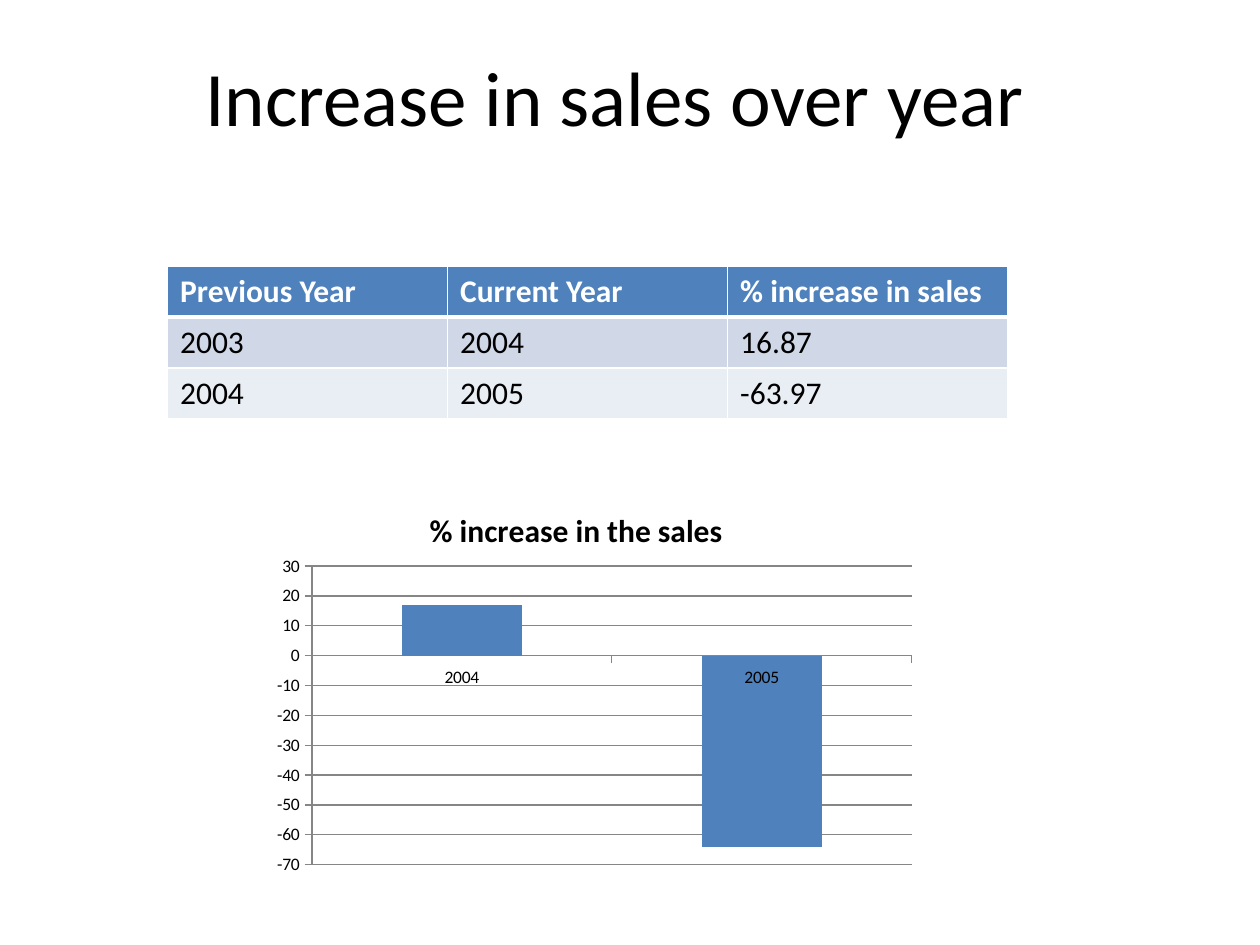
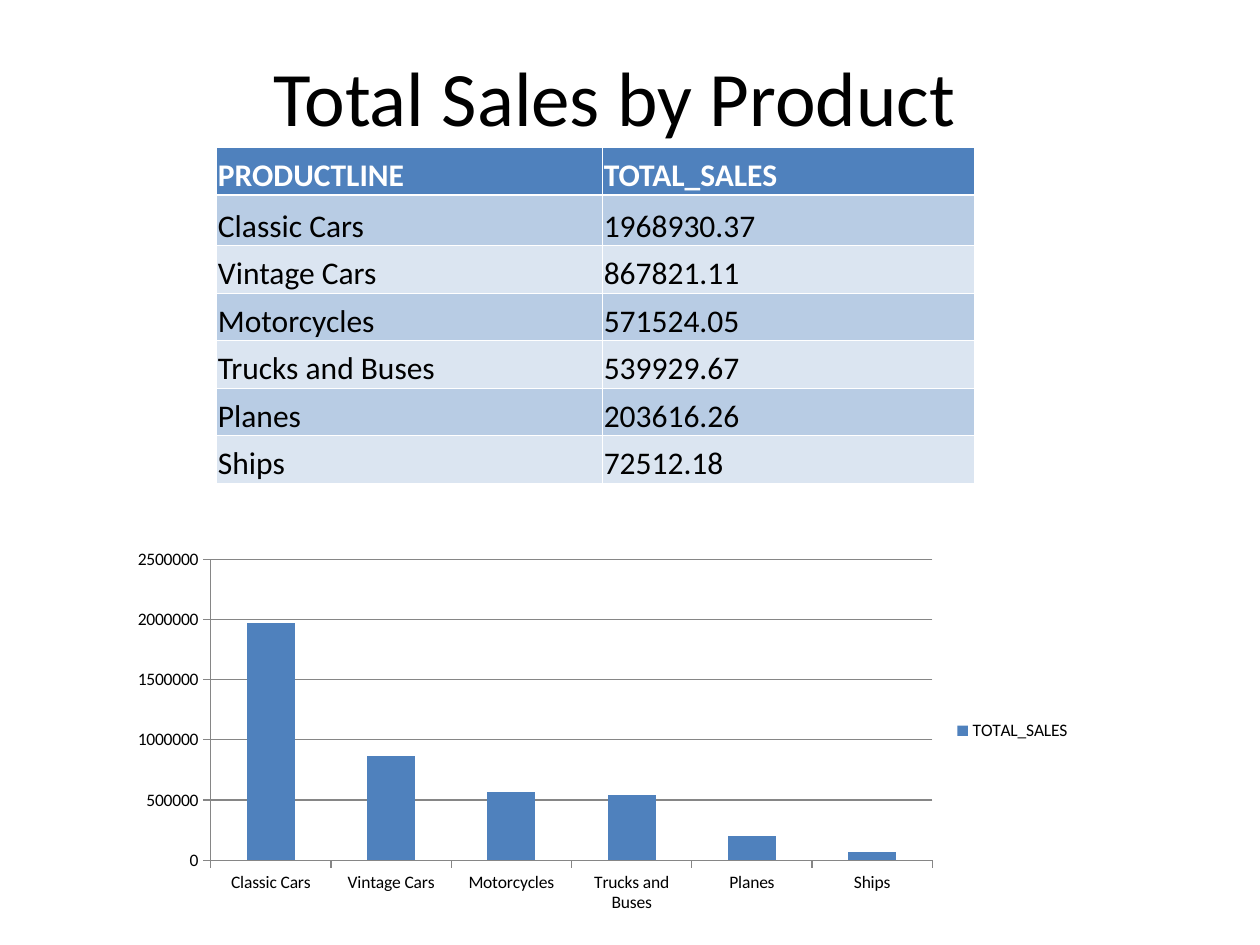
import pptx
import pptx.chart.data
import pptx.dml.color
import pptx.enum.chart
import pptx.enum.text
import pptx.oxml
import pptx.oxml.ns
import pptx.util

RGB = pptx.dml.color.RGBColor
BLACK = RGB(0x00, 0x00, 0x00)
WHITE = RGB(0xFF, 0xFF, 0xFF)
BLUE = RGB(0x4F, 0x81, 0xBD)
GRAY = RGB(0x86, 0x86, 0x86)
COOL = RGB(0xD0, 0xD8, 0xE8), RGB(0xE9, 0xED, 0xF4)
SKY = RGB(0xB8, 0xCC, 0xE4), RGB(0xDB, 0xE5, 0xF1)

FONT = "Calibri"
ALIGN = pptx.enum.text.PP_ALIGN
ANCHOR = pptx.enum.text.MSO_ANCHOR
COLS, ROWS = 40, 30


def write(frame, text, size=18, bold=False, color=BLACK, align=None):
    """Put one formatted line of text into a text frame."""
    line = frame.paragraphs[0]
    line.alignment = align
    run = line.add_run()
    run.text = text
    font = run.font
    font.name, font.size, font.bold = FONT, pptx.util.Pt(size), bold
    font.color.rgb = color


def edge(cell, widths):
    """Draw white borders; widths are points for left, right, top, bottom."""
    props = cell._tc.get_or_add_tcPr()
    for spot, (side, width) in enumerate(zip("LRTB", widths)):
        props.insert(spot, pptx.oxml.parse_xml(
            f'<a:ln{side} {pptx.oxml.ns.nsdecls("a")} w="{pptx.util.Pt(width)}">'
            f'<a:solidFill><a:srgbClr val="{WHITE}"/></a:solidFill></a:ln{side}>'))


def place(node, spot, inner=False, **share):
    """Fix a chart part at shares of the chart's size."""
    for old in node.findall(pptx.oxml.ns.qn("c:layout")):
        node.remove(old)
    body = '<c:layoutTarget val="inner"/>' if inner else ""
    body += "".join(f'<c:{key}Mode val="edge"/>' for key in "xy")
    body += "".join(f'<c:{key} val="{val}"/>' for key, val in share.items())
    node.insert(spot, pptx.oxml.parse_xml(
        f'<c:layout {pptx.oxml.ns.nsdecls("c")}>'
        f"<c:manualLayout>{body}</c:manualLayout></c:layout>"))


class Deck:
    """Holds the shared style and the current slide."""

    def __init__(self):
        self.file = pptx.Presentation()
        self.file.slide_width = pptx.util.Inches(10)
        self.file.slide_height = pptx.util.Inches(7.5)
        self.page = None

    def wide(self, cols):
        return round(self.file.slide_width * cols / COLS)

    def high(self, rows):
        return round(self.file.slide_height * rows / ROWS)

    def box(self, left, top, width, height):
        return self.wide(left), self.high(top), self.wide(width), self.high(height)

    def slide(self, title):
        self.page = self.file.slides.add_slide(self.file.slide_layouts[6])
        frame = self.page.shapes.add_textbox(*self.box(3.12, 0.92, 32.8, 4.24)).text_frame
        frame.word_wrap = True
        frame.vertical_anchor = ANCHOR.MIDDLE
        write(frame, title, size=44, align=ALIGN.CENTER)

    def table(self, left, top, cols, rows, data, bands, thin, thick, tight=False):
        grid = self.page.shapes.add_table(
            len(rows), len(cols), *self.box(left, top, sum(cols), sum(rows))).table
        grid.horz_banding = False
        for col, width in zip(grid.columns, cols):
            col.width = self.wide(width)
        for row, height in zip(grid.rows, rows):
            row.height = self.high(height)
        for r, line in enumerate(data):
            head = r == 0
            for c, text in enumerate(line):
                cell = grid.cell(r, c)
                cell.fill.solid()
                cell.fill.fore_color.rgb = BLUE if head else bands[(r - 1) % 2]
                edge(cell, (thin, thin, thick if r == 1 else thin, thick if head else thin))
                if tight:
                    cell.vertical_anchor = ANCHOR.BOTTOM
                    cell.margin_left = cell.margin_right = pptx.util.Inches(0.01)
                    cell.margin_top, cell.margin_bottom = pptx.util.Inches(0.01), 0
                write(cell.text_frame, text, bold=head, color=WHITE if head else BLACK)

    def chart(self, area, name, cats, vals, low, high, step, title=None):
        data = pptx.chart.data.CategoryChartData()
        data.categories = cats
        data.add_series(name, vals)
        chart = self.page.shapes.add_chart(
            pptx.enum.chart.XL_CHART_TYPE.COLUMN_CLUSTERED, *self.box(*area), data).chart
        chart.font.name, chart.font.size = FONT, pptx.util.Pt(10)
        chart.font.color.rgb = BLACK

        # Bars
        plot = chart.plots[0]
        plot.vary_by_categories = False
        plot.gap_width = 150
        bars = plot.series[0]
        bars.invert_if_negative = False
        bars.format.fill.solid()
        bars.format.fill.fore_color.rgb = BLUE

        # Axes
        axis = chart.value_axis
        axis.minimum_scale, axis.maximum_scale, axis.major_unit = low, high, step
        axis.has_major_gridlines = True
        for part in (axis, axis.major_gridlines, chart.category_axis):
            part.format.line.color.rgb = GRAY
            part.format.line.width = pptx.util.Pt(0.75)

        # Title or legend
        chart.has_title = title is not None
        chart.has_legend = title is None
        if title:
            write(chart.chart_title.text_frame, title, bold=True)
        else:
            chart.legend.position = pptx.enum.chart.XL_LEGEND_POSITION.RIGHT
            chart.legend.include_in_layout = False
        return chart


def main():
    deck = Deck()

    # Yearly growth
    deck.slide("Increase in sales over year")
    deck.table(5.32, 8.44, [8.89] * 3, [1.62] * 3, [
        ("Previous Year", "Current Year", "% increase in sales"),
        ("2003", "2004", "16.87"),
        ("2004", "2005", "-63.97"),
    ], COOL, thin=1, thick=3)
    chart = deck.chart((8.44, 15.32, 20.92, 12.64), "Series 1", ["2004", "2005"],
                       [17, -64], -70, 30, 10, title="% increase in the sales")
    place(chart.chart_title._element, 1, x=0.24, y=0.05)
    place(chart._chartSpace.chart.plotArea, 0, inner=True, x=0.07, y=0.21, w=0.91, h=0.75)

    # Sales of each product line
    sales = [
        ("Classic Cars", "1968930.37", 1970000),
        ("Vintage Cars", "867821.11", 870000),
        ("Motorcycles", "571524.05", 570000),
        ("Trucks and Buses", "539929.67", 540000),
        ("Planes", "203616.26", 200000),
        ("Ships", "72512.18", 70000),
    ]
    deck.slide("Total Sales by Product")
    deck.table(6.88, 4.68, [12.25, 11.82], [1.5, 1.62] + [1.51] * 5,
               [("PRODUCTLINE", "TOTAL_SALES")] + [row[:2] for row in sales],
               SKY, thin=0.5, thick=1.5, tight=True)
    deck.chart((3.76, 17.2, 30.64, 12), "TOTAL_SALES", [row[0] for row in sales],
               [row[2] for row in sales], 0, 2500000, 500000)

    deck.file.save("out.pptx")


if __name__ == "__main__":
    main()
